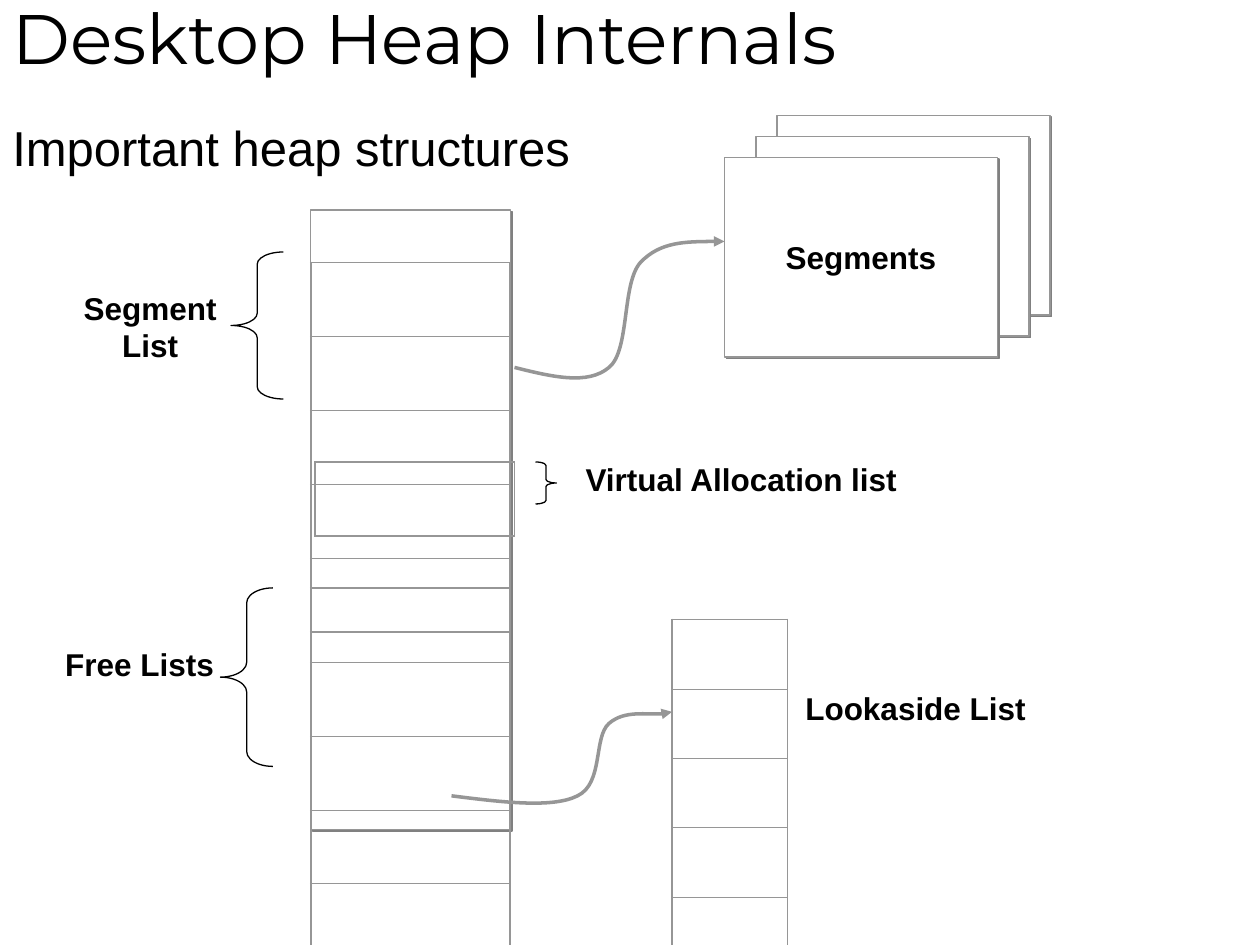
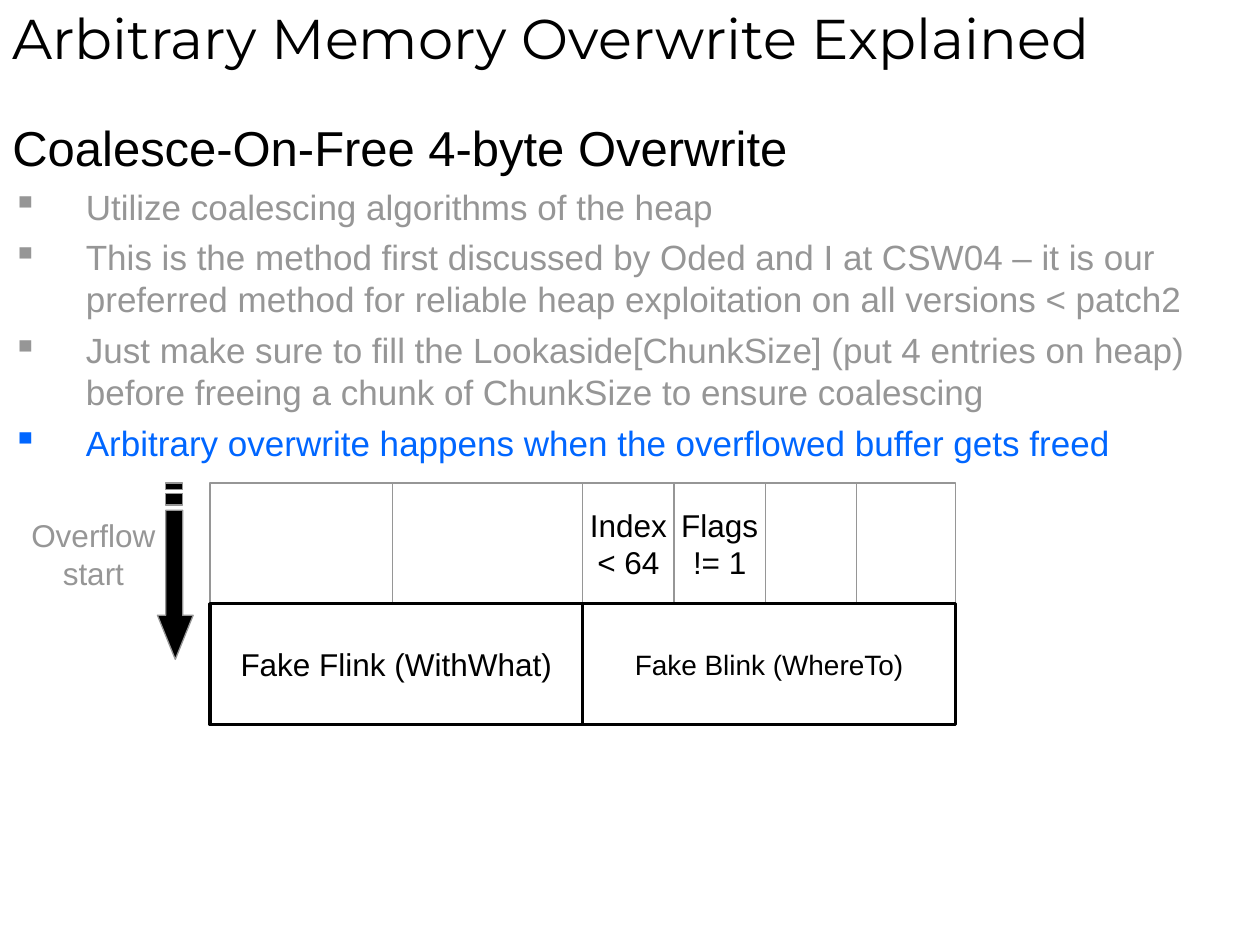
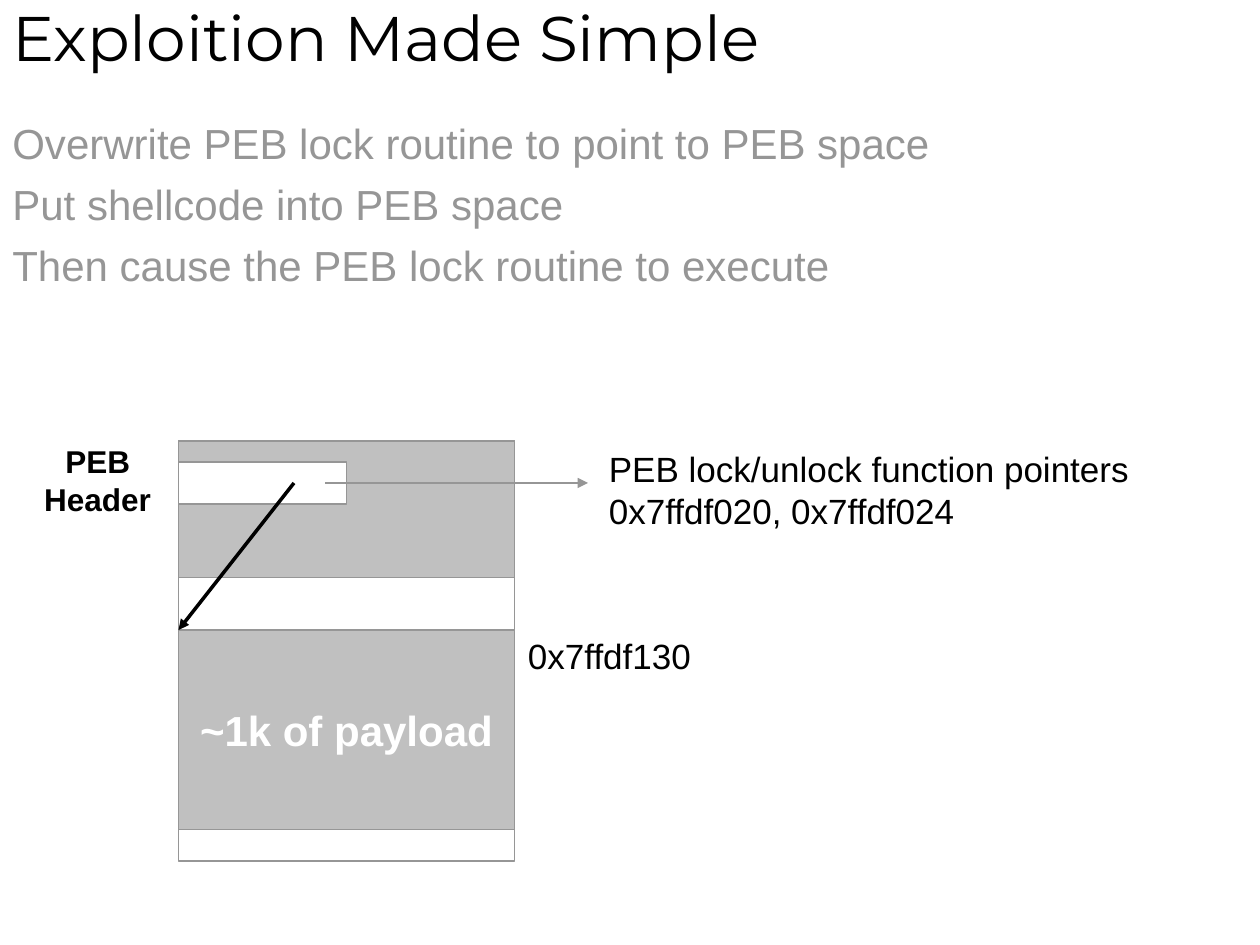
from lxml.etree import SubElement
from pptx import Presentation
from pptx.dml.color import RGBColor as RGB
from pptx.enum.shapes import MSO_CONNECTOR as LINK, MSO_SHAPE as SHAPE
from pptx.enum.text import MSO_ANCHOR as ANCHOR, MSO_AUTO_SIZE as FIT, PP_ALIGN as ALIGN
from pptx.oxml.ns import qn
from pptx.util import Pt

PX = 7620  # 120 px to the inch
WIDE, HIGH = 1200, 900
BODY, HEAD = "Arial", "Montserrat"
BLACK, WHITE, GRAY = "000000", "FFFFFF", "969696"
SILVER, BLUE = "C0C0C0", "0066FF"
THIN, THICK = 0.75, 2
HANG = 70


def px(*vals):
    return [round(val * PX) for val in vals]


def color(code):
    return RGB.from_string(code)


def style(para, size, tint=BLACK, bold=False, font=BODY):
    for run in para.runs:
        run.font.name = font
        run.font.size = Pt(size)
        run.font.bold = bold
        run.font.color.rgb = color(tint)


def write(frame, text, size, tint=BLACK, bold=False, align=ALIGN.CENTER):
    frame.text = text
    for para in frame.paragraphs:
        para.alignment = align
        style(para, size, tint, bold)


def edge(item, tint, width, arrow=False):
    """Draw the outline, with no effect and an optional arrowhead at its end."""
    item.line.color.rgb = color(tint)
    item.line.width = Pt(width)
    props = item._element.spPr
    if props.find(qn("a:effectLst")) is None:
        SubElement(props, qn("a:effectLst"))
    if arrow:
        SubElement(props.find(qn("a:ln")), qn("a:tailEnd"), type="triangle")


def title(slide, text, size):
    frame = slide.shapes.add_textbox(*px(0, -10, WIDE, 90)).text_frame
    frame.word_wrap = True
    frame.vertical_anchor = ANCHOR.MIDDLE
    frame.text = text
    style(frame.paragraphs[0], size, font=HEAD)


def body(slide, rows):
    """Each row is (text, size, colour, space before, bulleted)."""
    frame = slide.shapes.add_textbox(*px(0, 100, WIDE, 740)).text_frame
    frame.word_wrap = True
    frame.margin_top = px(12)[0]
    frame.text = "\n".join(row[0] for row in rows)
    for para, (_, size, tint, gap, dot) in zip(frame.paragraphs, rows):
        if gap:
            para.space_before = Pt(gap)
        props = para._p.get_or_add_pPr()
        props.set("marL", str(HANG * PX))
        props.set("indent", str(-HANG * PX))
        if dot:
            fill = SubElement(props, qn("a:buClr"))
            SubElement(fill, qn("a:srgbClr"), val=tint)
            SubElement(props, qn("a:buChar"), char="▪")
        style(para, size, tint)


def label(slide, area, text, size=18, tint=BLACK, bold=False, align=ALIGN.CENTER):
    frame = slide.shapes.add_textbox(*px(*area)).text_frame
    frame.word_wrap = False
    frame.auto_size = FIT.SHAPE_TO_FIT_TEXT
    write(frame, text, size, tint, bold, align)


def box(slide, area, fill=WHITE, line=GRAY, width=THIN):
    item = slide.shapes.add_shape(SHAPE.RECTANGLE, *px(*area))
    item.shadow.inherit = False
    item.fill.solid()
    item.fill.fore_color.rgb = color(fill)
    edge(item, line, width)
    return item


def fill_in(item, text, size, tint=BLACK, bold=False):
    frame = item.text_frame
    frame.word_wrap = False
    frame.vertical_anchor = ANCHOR.MIDDLE
    write(frame, text, size, tint, bold)


def shade(item):
    """Cast a hard gray shadow down and to the right."""
    list_ = item._element.spPr.find(qn("a:effectLst"))
    cast = SubElement(list_, qn("a:outerShdw"), blurRad="0", dist=str(Pt(1.4)),
                      dir=str(45 * 60000), algn="ctr", rotWithShape="0")
    SubElement(cast, qn("a:srgbClr"), val="808080")


def brace(slide, kind, area):
    item = slide.shapes.add_shape(kind, *px(*area))
    item.shadow.inherit = False
    item.fill.background()
    edge(item, BLACK, THIN)
    item.adjustments[0] = area[3] / area[2] / 12


def curve(slide, start, *points):
    """Draw an arrow through cubic curves, three points to each curve."""
    maker = slide.shapes.build_freeform(*start, scale=PX)
    maker.add_line_segments(points, close=False)
    item = maker.convert_to_shape()
    item.shadow.inherit = False
    item.fill.background()
    edge(item, GRAY, THICK, arrow=True)
    trace = item._element.find(".//" + qn("a:path"))
    steps = trace.findall(qn("a:lnTo"))
    for i in range(0, len(steps), 3):
        bend = SubElement(trace, qn("a:cubicBezTo"))
        for step in steps[i:i + 3]:
            bend.append(step[0])
            trace.remove(step)


def arrow(slide, start, end, tint, width):
    item = slide.shapes.add_connector(LINK.STRAIGHT, *px(*start, *end))
    edge(item, tint, width, arrow=True)


def cells(slide, left, top, width, height, count, size):
    """Stack empty cells; the size of their blank text sets how tall they get."""
    area = px(left, top, width, height * count)
    table = slide.shapes.add_table(count, 1, *area).table
    table.first_row = table.horz_banding = False
    for i, row in enumerate(table.rows):
        row.height = px(height)[0]
        cell = row.cells[0]
        props = cell._tc.get_or_add_tcPr()
        sides = {"L": 1.08, "R": 1.08, "T": 0.45 if i else 1.08,
                 "B": 0.45 if i < count - 1 else 1.08}
        for side, wide in sides.items():
            rule = SubElement(props, qn("a:ln" + side), w=str(Pt(wide)))
            SubElement(SubElement(rule, qn("a:solidFill")), qn("a:srgbClr"), val=GRAY)
        cell.fill.background()
        para = cell.text_frame.paragraphs[0]._p
        mark = SubElement(para, qn("a:endParaRPr"), sz=str(round(size * 100)))
        SubElement(mark, qn("a:latin"), typeface=BODY)


def striped(slide):
    """Draw the downward arrow with two stripes above its shaft."""
    maker = slide.shapes.build_freeform(184, 586, scale=PX)
    maker.add_line_segments([(174, 586), (174, 486), (158, 486), (158, 586),
                             (150, 586), (167, 628)])
    for top, low in ((470, 481), (460, 466)):
        maker.move_to(174, top)
        maker.add_line_segments([(158, top), (158, low), (174, low)])
    item = maker.convert_to_shape()
    item.shadow.inherit = False
    item.fill.solid()
    item.fill.fore_color.rgb = color(BLACK)
    edge(item, GRAY, THIN)


def heap(slide):
    title(slide, "Desktop Heap Internals", 40)
    body(slide, [("Important heap structures", 28, BLACK, 0, False)])
    shade(box(slide, (296, 200, 190, 590)))
    for left, top in ((740, 110), (720, 130), (690, 150)):
        card = box(slide, (left, top, 260, 190))
        shade(card)
    fill_in(card, "Segments", 18, bold=True)

    cells(slide, 640, 590, 110, 22, 9, 27)
    cells(slide, 296, 250, 190, 26, 5, 29.2)
    cells(slide, 296, 560, 190, 34, 5, 29.2)
    cells(slide, 300, 440, 190, 36, 1, 29.2)

    brace(slide, SHAPE.LEFT_BRACE, (220, 240, 50, 140))
    brace(slide, SHAPE.LEFT_BRACE, (210, 560, 50, 170))
    brace(slide, SHAPE.RIGHT_BRACE, (510, 440, 20, 40))
    for area, text in (((755, 650, 234, 48), "Lookaside List"),
                       ((64, 269, 158, 84), "Segment\nList"),
                       ((50, 608, 166, 48), "Free Lists"),
                       ((545, 432, 322, 48), "Virtual Allocation list")):
        label(slide, area, text, bold=True)

    curve(slide, (430, 758), (478, 764), (526, 770), (550, 758),
          (575, 746), (565, 702), (580, 689), (595, 676), (629, 683), (640, 678))
    curve(slide, (490, 350), (526, 359), (560, 367), (580, 350),
          (600, 334), (592, 270), (610, 250), (629, 230), (659, 230), (690, 230))


def chunk(slide):
    title(slide, "Arbitrary Memory Overwrite Explained", 32)
    points = [
        "Utilize coalescing algorithms of the heap",
        "This is the method first discussed by Oded and I at CSW04 – it is our "
        "preferred method for reliable heap exploitation on all versions < patch2",
        "Just make sure to fill the Lookaside[ChunkSize] (put 4 entries on heap) "
        "before freeing a chunk of ChunkSize to ensure coalescing",
    ]
    body(slide, [("Coalesce-On-Free 4-byte Overwrite", 28, BLACK, 0, False),
                 *((text, 20, GRAY, 5, True) for text in points),
                 ("Arbitrary overwrite happens when the overflowed buffer gets freed",
                  20, BLUE, 5, True)])

    left, top, tall = 200, 460, 115
    for width, text in ((174, ""), (181, ""), (87, "Index\n< 64"),
                        (87, "Flags\n!= 1"), (87, ""), (94, "")):
        field = box(slide, (left, top, width, tall))
        if text:
            fill_in(field, text, 18)
        left += width
    for left, text, size in ((200, "Fake Flink (WithWhat)", 18),
                             (555, "Fake Blink (WhereTo)", 16)):
        link = box(slide, (left, top + tall, 355, tall), line=BLACK, width=THICK)
        fill_in(link, text, size)

    striped(slide)
    label(slide, (18, 486, 142, 84), "Overflow\nstart", tint=GRAY)


def payload(slide):
    title(slide, "Exploition Made Simple", 36)
    steps = ("Overwrite PEB lock routine to point to PEB space",
             "Put shellcode into PEB space",
             "Then cause the PEB lock routine to execute")
    body(slide, [(text, 24, GRAY, 6 if i else 0, False) for i, text in enumerate(steps)])

    box(slide, (170, 420, 320, 400))
    box(slide, (170, 420, 320, 130), SILVER)
    code = box(slide, (170, 600, 320, 190), SILVER)
    fill_in(code, "~1k of payload", 24, WHITE, True)
    box(slide, (170, 440, 160, 40))

    arrow(slide, (280, 460), (170, 600), BLACK, THICK)
    arrow(slide, (310, 460), (560, 460), GRAY, THIN)
    label(slide, (30, 415, 126, 84), "PEB\nHeader", bold=True)
    label(slide, (568, 420, 520, 92),
          "PEB lock/unlock function pointers\n0x7ffdf020, 0x7ffdf024",
          20, align=ALIGN.LEFT)
    label(slide, (491, 598, 180, 53), "0x7ffdf130", 20, align=ALIGN.LEFT)


def main():
    deck = Presentation()
    deck.slide_width, deck.slide_height = px(WIDE, HIGH)
    for build in (heap, chunk, payload):
        build(deck.slides.add_slide(deck.slide_layouts[6]))
    deck.save("out.pptx")


if __name__ == "__main__":
    main()
